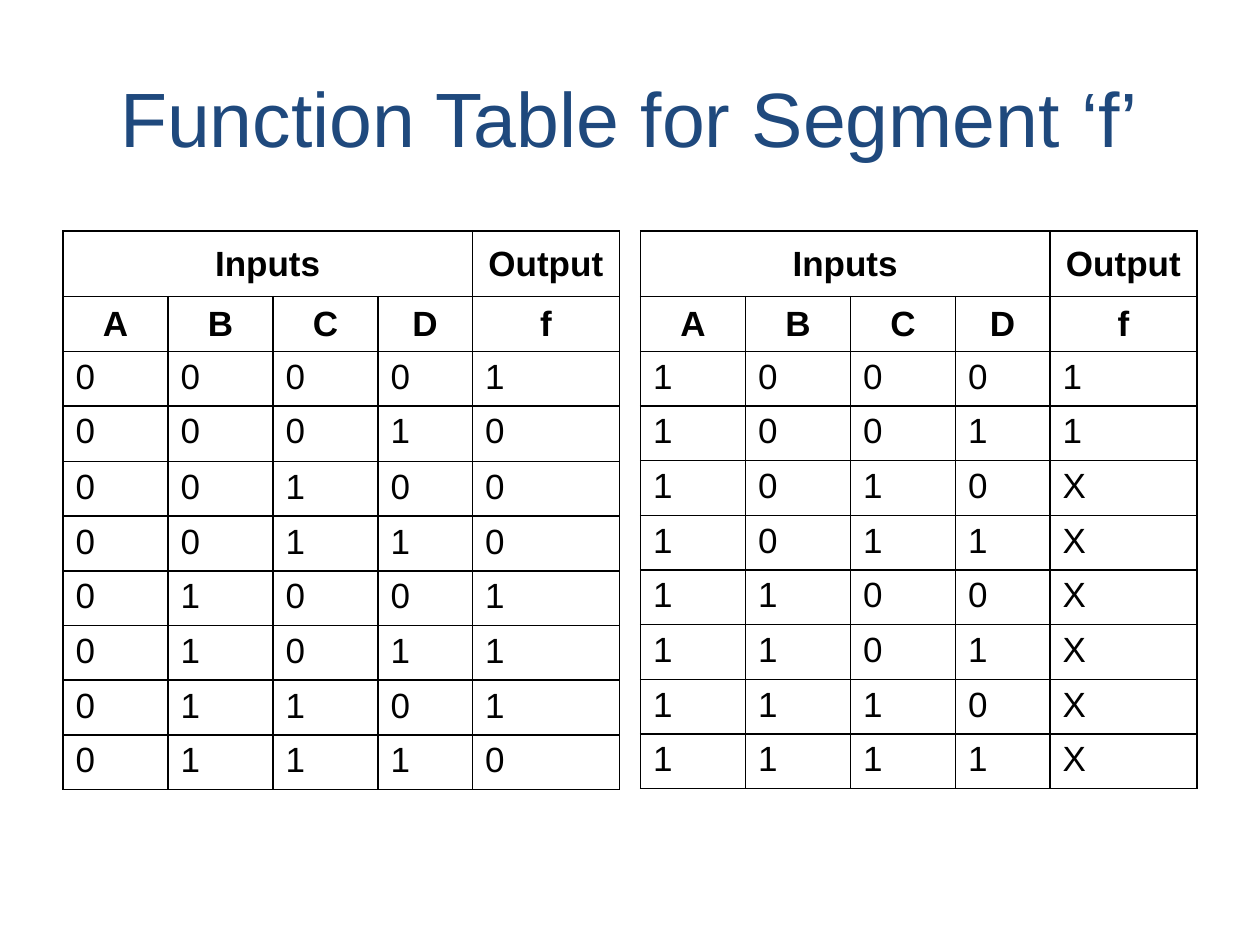
from dataclasses import dataclass
from typing import Any

from lxml import etree
from pptx import Presentation
from pptx import util as u
from pptx.dml import color
from pptx.enum import text
from pptx.oxml import ns


def rgb(value):
    return color.RGBColor.from_string(value)


@dataclass
class Deck:
    """Slide style and drawing methods on a grid of twelfths of an inch."""

    slide: Any
    font: str = "Arial"
    ink: str = "000000"
    accent: str = "1F497D"
    unit: float = 1 / 12

    def size(self, cells):
        return u.Inches(cells * self.unit)

    def run(self, p, words, size, hue, bold=False):
        r = p.add_run()
        r.text = words
        r.font.name, r.font.size, r.font.bold = self.font, u.Pt(size), bold
        r.font.color.rgb = rgb(hue)

    def title(self, words, *box):
        tf = self.slide.shapes.add_textbox(*map(self.size, box)).text_frame
        tf.word_wrap = True
        tf.vertical_anchor = text.MSO_ANCHOR.MIDDLE
        p = tf.paragraphs[0]
        p.alignment = text.PP_ALIGN.CENTER
        self.run(p, words, 44, self.accent)

    def border(self, cell):
        tc_pr = cell._tc.get_or_add_tcPr()
        for side in "LRTB":
            ln = etree.SubElement(tc_pr, ns.qn(f"a:ln{side}"), w=str(u.Pt(1)))
            fill = etree.SubElement(ln, ns.qn("a:solidFill"))
            etree.SubElement(fill, ns.qn("a:srgbClr"), val=self.ink)

    def cell(self, cell, words, header, hang):
        self.border(cell)
        cell.fill.background()
        if not words:
            return
        p = cell.text_frame.paragraphs[0]
        if hang:
            p_pr = p._p.get_or_add_pPr()
            p_pr.set("marL", str(u.Inches(hang)))
            p_pr.set("indent", str(-u.Inches(hang)))
        if header:
            cell.vertical_anchor = text.MSO_ANCHOR.MIDDLE
        p.alignment = text.PP_ALIGN.CENTER if header else text.PP_ALIGN.JUSTIFY
        self.run(p, words, 20, self.ink, header)

    def table(self, left, top, widths, heights, rows, hang=0):
        box = map(self.size, (left, top, sum(widths), sum(heights)))
        table = self.slide.shapes.add_table(len(rows), len(widths), *box).table
        table.first_row = table.horz_banding = False
        for column, width in zip(table.columns, widths):
            column.width = self.size(width)
        for row, height in zip(table.rows, heights):
            row.height = self.size(height)
        table.cell(0, 0).merge(table.cell(0, 3))
        for i, row in enumerate(rows):
            for j, words in enumerate(row):
                self.cell(table.cell(i, j), words, i < 2, hang)


def truth_rows(start, outputs):
    head = [["Inputs", "", "", "", "Output"], list("ABCDf")]
    return head + [list(f"{n:04b}{out}") for n, out in enumerate(outputs, start)]


def main():
    prs = Presentation()
    prs.slide_width, prs.slide_height = u.Inches(10), u.Inches(7.5)
    s = Deck(prs.slides.add_slide(prs.slide_layouts[6]))
    s.title("Function Table for Segment ‘f’", 6, 3.6, 108, 15)
    widths = [10, 10, 10, 9, 14]
    s.table(6, 22, widths, [6.25, 5.2, 5.2, 5.3] + [5.2] * 6,
            truth_rows(0, "10001110"), hang=0.38)
    s.table(61, 22, widths, [6.25] + [5.2] * 9, truth_rows(8, "11XXXXXX"))
    prs.save("out.pptx")


if __name__ == "__main__":
    main()
